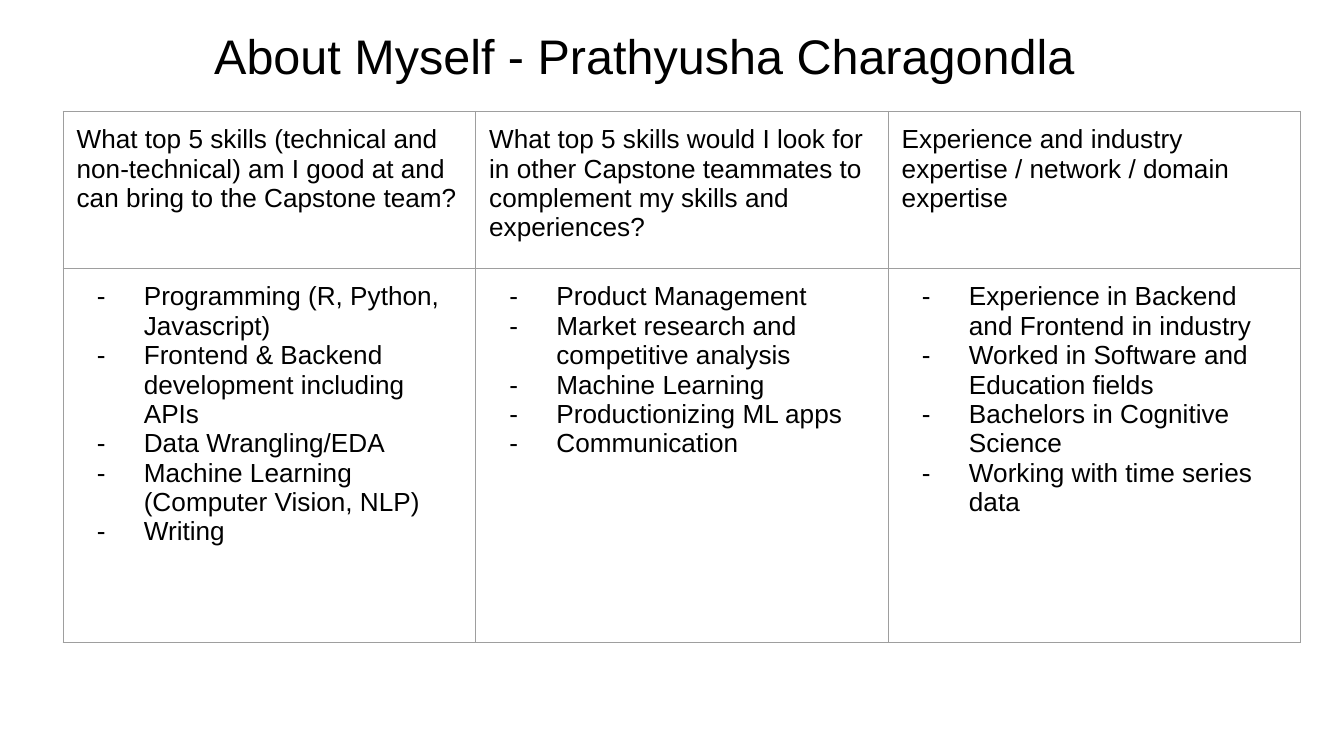
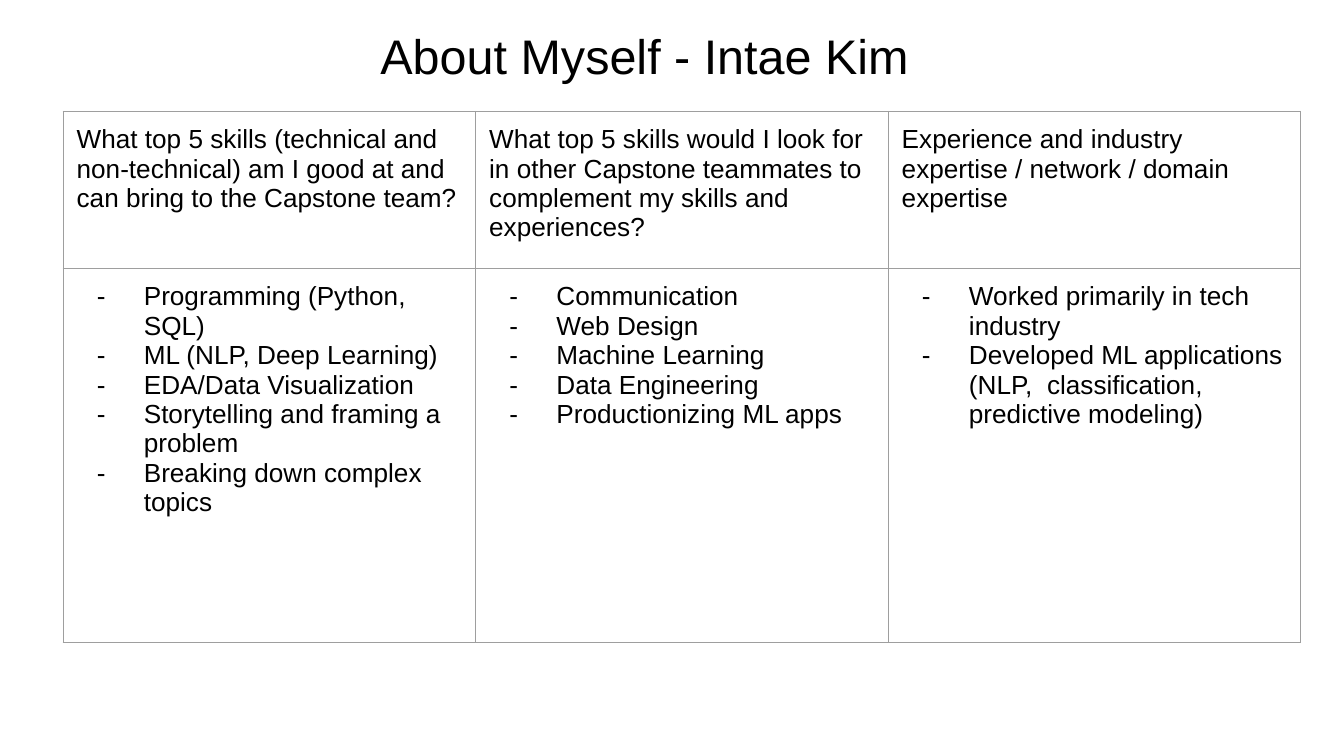
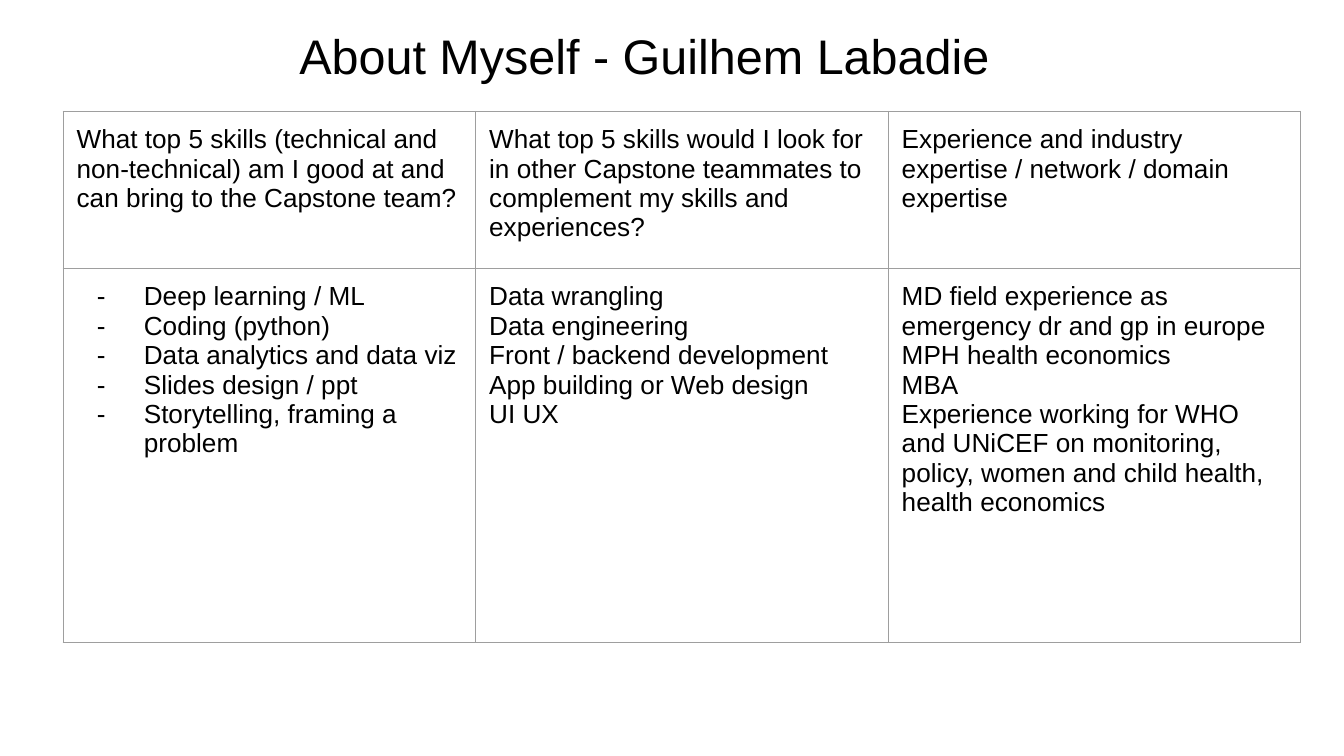
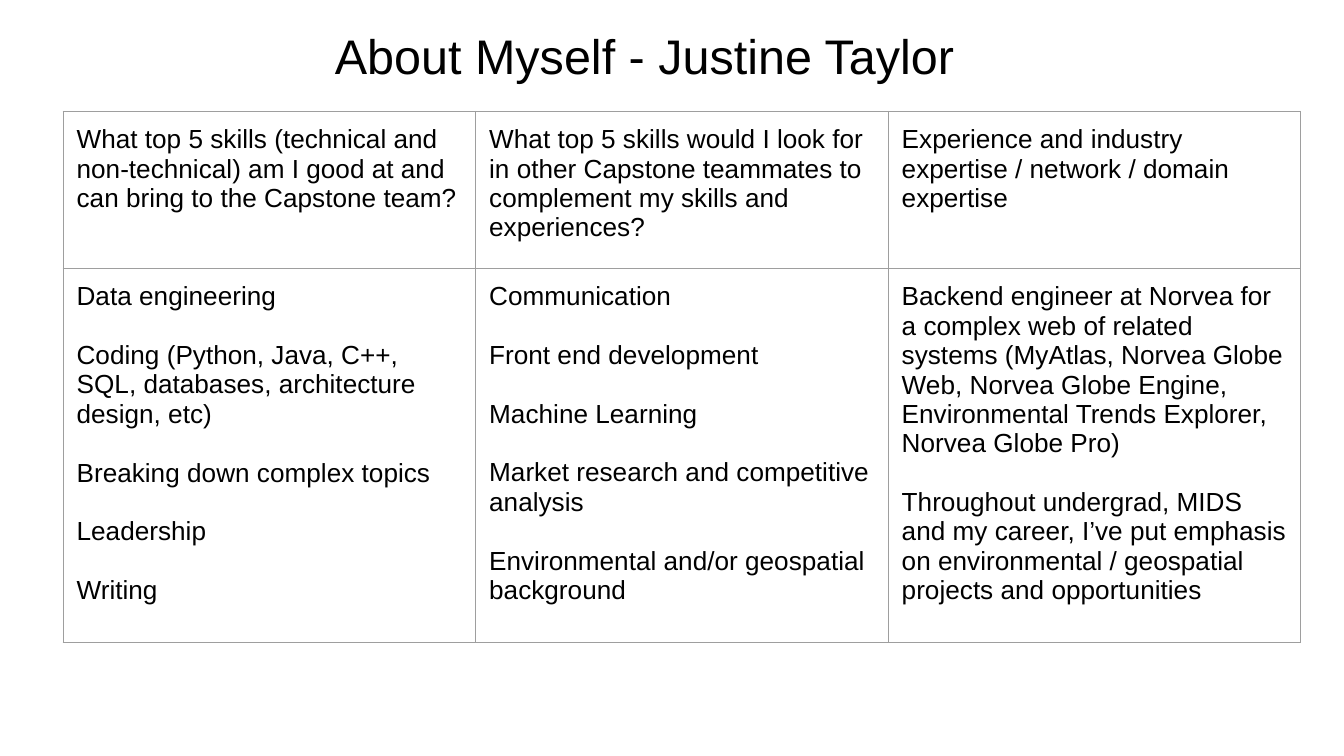
from pptx import Presentation
from pptx.dml.color import RGBColor
from pptx.enum import text
from pptx.oxml import parse_xml
from pptx.oxml.ns import nsdecls
from pptx.util import Inches, Pt

BLACK = RGBColor(0x00, 0x00, 0x00)
GREY = RGBColor(0x9E, 0x9E, 0x9E)
FONT = "Arial"
INSET = Inches(0.1)
COL_WIDTH = Inches(3.07)
ROW_HEIGHTS = [Inches(1.17), Inches(2.78)]
BLANK_LINE = Pt(15.7)

QUESTIONS = [
    "What top 5 skills (technical and non-technical) am I good at and can bring to the Capstone team?",
    "What top 5 skills would I look for in other Capstone teammates to complement my skills and experiences?",
    "Experience and industry expertise / network / domain expertise",
]

# Each member: name, space between answers, then (bulleted, answers) per question
MEMBERS = [
    ("Prathyusha Charagondla", 0, [
        (True, ["Programming (R, Python, Javascript)",
                "Frontend & Backend development including APIs",
                "Data Wrangling/EDA",
                "Machine Learning (Computer Vision, NLP)",
                "Writing"]),
        (True, ["Product Management",
                "Market research and competitive analysis",
                "Machine Learning",
                "Productionizing ML apps",
                "Communication"]),
        (True, ["Experience in Backend and Frontend in industry",
                "Worked in Software and Education fields",
                "Bachelors in Cognitive Science",
                "Working with time series data"]),
    ]),
    ("Intae Kim", 0, [
        (True, ["Programming (Python, SQL)",
                "ML (NLP, Deep Learning)",
                "EDA/Data Visualization",
                "Storytelling and framing a problem",
                "Breaking down complex topics"]),
        (True, ["Communication",
                "Web Design",
                "Machine Learning",
                "Data Engineering",
                "Productionizing ML apps"]),
        (True, ["Worked primarily in tech industry",
                "Developed ML applications (NLP,  classification, predictive modeling)"]),
    ]),
    ("Guilhem Labadie", 0, [
        (True, ["Deep learning / ML",
                "Coding (python)",
                "Data analytics and data viz",
                "Slides design / ppt",
                "Storytelling, framing a problem"]),
        (False, ["Data wrangling",
                 "Data engineering",
                 "Front / backend development",
                 "App building or Web design",
                 "UI UX"]),
        (False, ["MD field experience as emergency dr and gp in europe",
                 "MPH health economics",
                 "MBA",
                 "Experience working for WHO and UNiCEF on monitoring, policy, "
                 "women and child health, health economics"]),
    ]),
    ("Justine Taylor", BLANK_LINE, [
        (False, ["Data engineering",
                 "Coding (Python, Java, C++, SQL, databases, architecture design, etc)",
                 "Breaking down complex topics",
                 "Leadership",
                 "Writing"]),
        (False, ["Communication",
                 "Front end development",
                 "Machine Learning",
                 "Market research and competitive analysis",
                 "Environmental and/or geospatial background"]),
        (False, ["Backend engineer at Norvea for a complex web of related systems "
                 "(MyAtlas, Norvea Globe Web, Norvea Globe Engine, "
                 "Environmental Trends Explorer, Norvea Globe Pro)",
                 "Throughout undergrad, MIDS and my career, I’ve put emphasis on "
                 "environmental / geospatial projects and opportunities"]),
    ]),
]


def set_font(p, size):
    for r in p.runs:
        r.font.name = FONT
        r.font.size = Pt(size)
        r.font.color.rgb = BLACK


def fill_cell(cell, lines, bulleted=False, gap=0):
    """Write one paragraph per line and give the cell its inset and borders."""
    cell.margin_left = cell.margin_right = INSET
    cell.margin_top = cell.margin_bottom = INSET
    tc_pr = cell._tc.get_or_add_tcPr()
    for side in "LRTB":
        tc_pr.append(parse_xml(
            f'<a:ln{side} {nsdecls("a")} w="{Pt(0.75)}"><a:solidFill>'
            f'<a:srgbClr val="{GREY}"/></a:solidFill></a:ln{side}>'))
    cell.fill.background()
    tf = cell.text_frame
    tf.text = "\n".join(lines)
    for i, p in enumerate(tf.paragraphs):
        if i and gap:
            p.space_before = gap
        if bulleted:
            p_pr = p._p.get_or_add_pPr()
            p_pr.set("marL", str(Inches(0.5)))
            p_pr.set("indent", str(-Inches(0.35)))
            p_pr.append(parse_xml(
                f'<a:buClr {nsdecls("a")}><a:srgbClr val="{BLACK}"/></a:buClr>'))
            p_pr.append(parse_xml(f'<a:buFont {nsdecls("a")} typeface="{FONT}"/>'))
            p_pr.append(parse_xml(f'<a:buChar {nsdecls("a")} char="-"/>'))
        set_font(p, 14)


prs = Presentation()
prs.slide_width = Inches(10)
prs.slide_height = prs.slide_width * 9 // 16

for name, gap, answers in MEMBERS:
    s = prs.slides.add_slide(prs.slide_layouts[5])

    title = s.shapes.title
    title.left, title.top = Inches(0.79), Inches(0.09)
    title.width, title.height = Inches(8.02), Inches(0.62)
    tf = title.text_frame
    tf.text = f"About Myself - {name}"
    tf.word_wrap = True
    tf.auto_size = text.MSO_AUTO_SIZE.NONE
    tf.vertical_anchor = text.MSO_ANCHOR.TOP
    tf.margin_left = tf.margin_right = tf.margin_top = tf.margin_bottom = INSET
    tf.paragraphs[0].alignment = text.PP_ALIGN.CENTER
    set_font(tf.paragraphs[0], 26)

    table = s.shapes.add_table(2, 3, Inches(0.47), Inches(0.83),
                               COL_WIDTH * 3, sum(ROW_HEIGHTS)).table
    table.first_row = table.horz_banding = False
    for row, height in zip(table.rows, ROW_HEIGHTS):
        row.height = height
    for c, (question, (bulleted, lines)) in enumerate(zip(QUESTIONS, answers)):
        table.columns[c].width = COL_WIDTH
        fill_cell(table.cell(0, c), [question])
        fill_cell(table.cell(1, c), lines, bulleted, gap)

prs.save("out.pptx")
